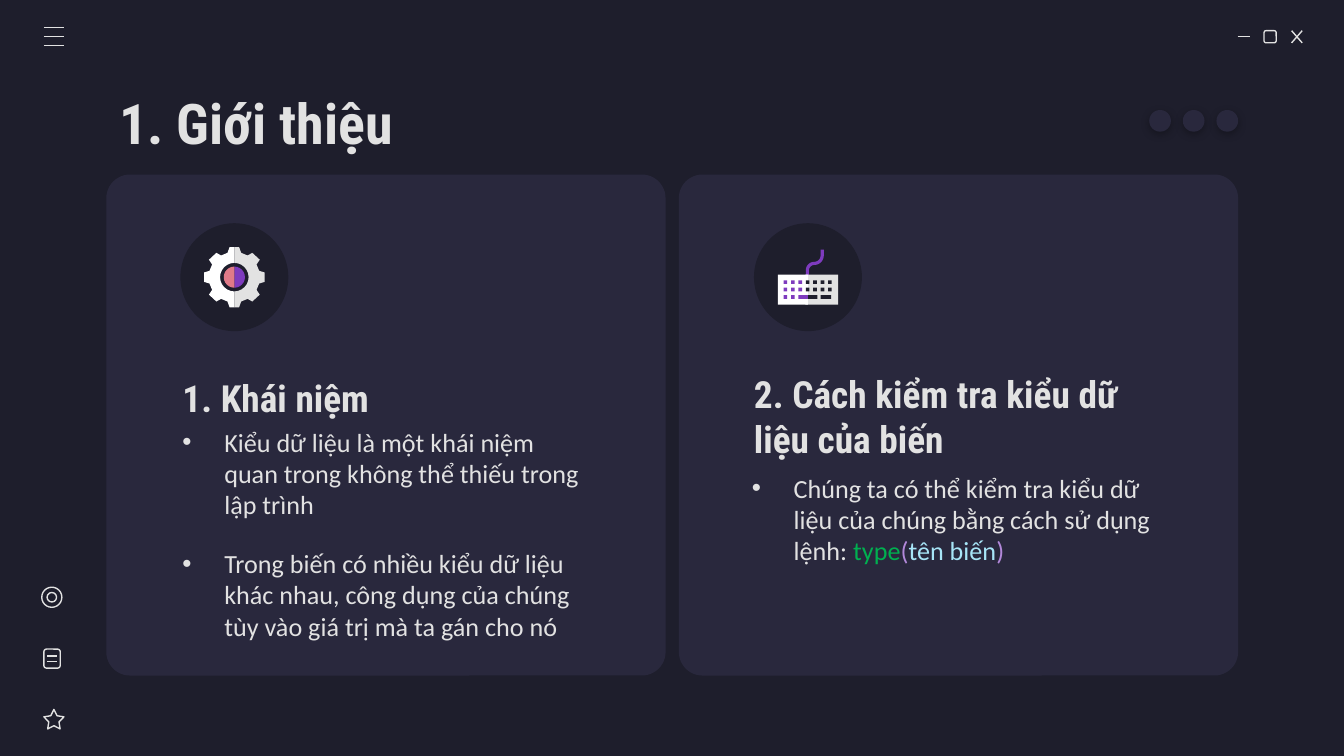
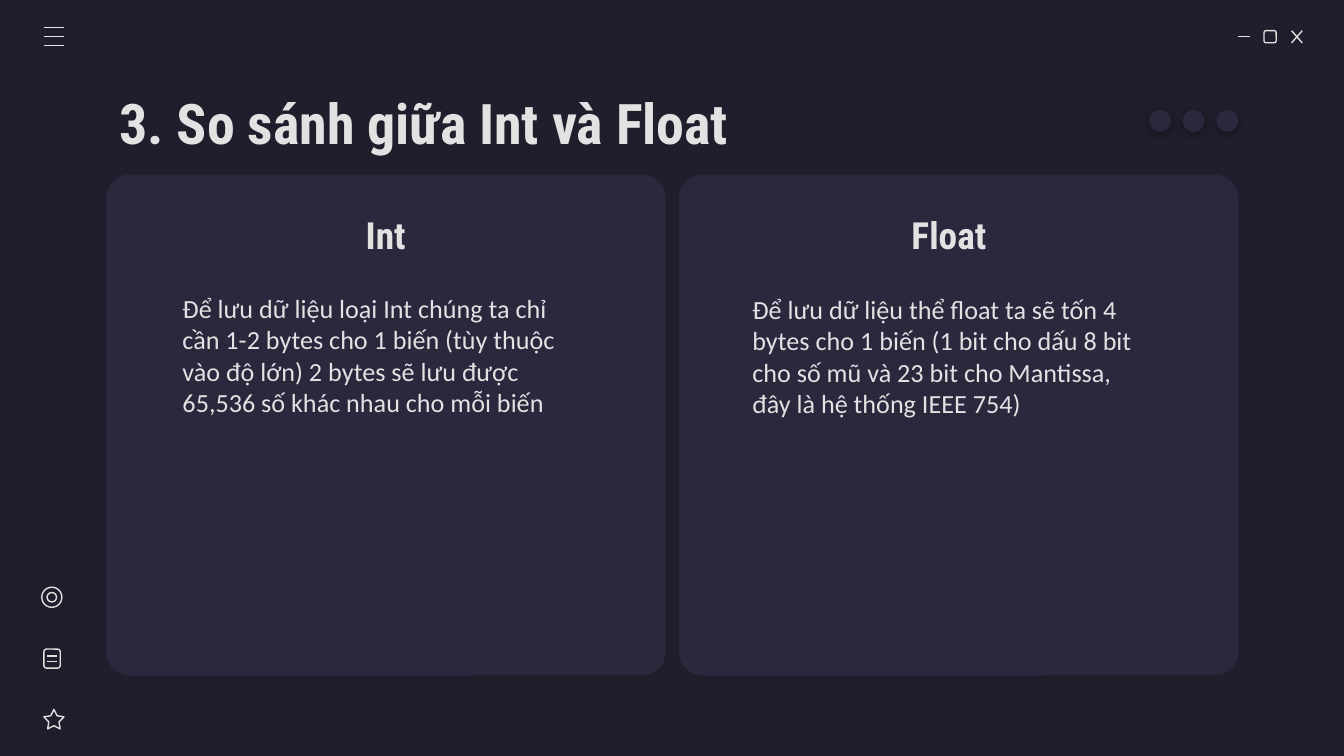
from math import cos, radians, sin

from lxml import etree
from pptx import Presentation
from pptx.dml.color import RGBColor
from pptx.enum.shapes import MSO_CONNECTOR, MSO_SHAPE
from pptx.enum.text import MSO_ANCHOR, PP_ALIGN
from pptx.oxml.ns import qn
from pptx.util import Cm, Pt

STRAIGHT = MSO_CONNECTOR.STRAIGHT
RECT = MSO_SHAPE.RECTANGLE
ROUND = MSO_SHAPE.ROUNDED_RECTANGLE
OVAL = MSO_SHAPE.OVAL
STAR = MSO_SHAPE.STAR_5_POINT
MIDDLE = MSO_ANCHOR.MIDDLE
LEFT = PP_ALIGN.LEFT
CENTER = PP_ALIGN.CENTER

COLORS = {
    "night": "1E1E2C",
    "card": "29283D",
    "light": "E2E2E2",
    "white": "FFFFFF",
    "purple": "7E3BBE",
    "pink": "E07A88",
    "green": "00B050",
    "lilac": "B288DA",
    "sky": "A7E5F7",
    "black": "000000",
}
HEAD_FONT = "Roboto Condensed"
BODY_FONT = "Calibri"
INSET = 0.25
TAIL_INSET = 0.85
CARD_LEFTS = (2.01, 12.83)


def color(name):
    return RGBColor.from_string(COLORS[name])


def arc(center, radius, start, end, steps=12):
    angles = [radians(start + (end - start) * i / steps) for i in range(steps + 1)]
    return [(center[0] + radius * cos(a), center[1] + radius * sin(a)) for a in angles]


class Deck:
    def __init__(self):
        self.deck = Presentation()
        self.deck.slide_width = Cm(25.4)
        self.deck.slide_height = Cm(14.29)
        self.page = None

    def start_page(self, title):
        self.page = self.deck.slides.add_slide(self.deck.slide_layouts[6])
        fill = self.page.background.fill
        fill.solid()
        fill.fore_color.rgb = color("night")
        for left in CARD_LEFTS:
            self.shape(ROUND, left, 3.3, 10.57, 9.47, "card", adjust=0.047)
        self.window_buttons()
        self.side_icons()
        for i in range(3):
            dot = self.shape(OVAL, 21.72 + 0.635 * i, 2.08, 0.41, 0.41, "card")
            self.shadow(dot)
        self.text(title, 2.01, 1.5, 21.4, 1.6, size=30)

    def paint(self, shape, fill):
        shape.shadow.inherit = False
        if fill:
            shape.fill.solid()
            shape.fill.fore_color.rgb = color(fill)
            shape.line.fill.background()
        else:
            shape.fill.background()
            shape.line.color.rgb = color("light")
            shape.line.width = Pt(0.75)

    def shape(self, kind, left, top, width, height, fill=None, adjust=None):
        shape = self.page.shapes.add_shape(kind, Cm(left), Cm(top), Cm(width), Cm(height))
        self.paint(shape, fill)
        if adjust is not None:
            shape.adjustments[0] = adjust
        return shape

    def shadow(self, shape):
        effects = shape._element.spPr.find(qn("a:effectLst"))
        outer = etree.SubElement(effects, qn("a:outerShdw"), blurRad=str(Pt(4.5)),
                                 dist=str(Pt(1.5)), dir="5400000", algn="bl", rotWithShape="0")
        tint = etree.SubElement(outer, qn("a:srgbClr"), val=COLORS["black"])
        etree.SubElement(tint, qn("a:alpha"), val="30000")

    def line(self, x1, y1, x2, y2):
        line = self.page.shapes.add_connector(STRAIGHT, Cm(x1), Cm(y1), Cm(x2), Cm(y2))
        line.line.color.rgb = color("light")
        line.line.width = Pt(0.75)
        etree.SubElement(line._element.spPr, qn("a:effectLst"))

    def outline(self, points, fill):
        corners = [(Cm(x), Cm(y)) for x, y in points]
        builder = self.page.shapes.build_freeform(*corners[0])
        builder.add_line_segments(corners[1:], close=True)
        self.paint(builder.convert_to_shape(), fill)

    def box(self, left, top, width, height, inset_left=INSET, inset_bottom=INSET):
        frame = self.page.shapes.add_textbox(Cm(left), Cm(top), Cm(width), Cm(height)).text_frame
        frame.word_wrap = True
        frame.vertical_anchor = MIDDLE
        frame.margin_left = Cm(inset_left)
        frame.margin_bottom = Cm(inset_bottom)
        frame.margin_top = frame.margin_right = Cm(INSET)
        return frame

    def style(self, span, font, size, tint="light", bold=False):
        span.font.name = font
        span.font.size = Pt(size)
        span.font.bold = bold
        span.font.color.rgb = color(tint)

    def text(self, words, left, top, width, height, size=20, font=HEAD_FONT, align=LEFT,
             inset_left=INSET):
        frame = self.box(left, top, width, height, inset_left)
        frame.text = words
        para = frame.paragraphs[0]
        para.alignment = align
        self.style(para.runs[0], font, size, bold=font == HEAD_FONT)

    def bullets(self, items, left, top, width, height):
        frame = self.box(left, top, width, height, inset_bottom=TAIL_INSET)
        for i, spans in enumerate(items):
            para = frame.add_paragraph() if i else frame.paragraphs[0]
            properties = para._p.get_or_add_pPr()
            properties.set("marL", str(Cm(0.79)))
            properties.set("indent", str(Cm(-0.79)))
            bullet_color = etree.SubElement(properties, qn("a:buClr"))
            etree.SubElement(bullet_color, qn("a:srgbClr"), val=COLORS["light"])
            etree.SubElement(properties, qn("a:buFont"), typeface="Arial")
            etree.SubElement(properties, qn("a:buChar"), char="•")
            if i:
                para.space_before = Pt(14.5)
            for words, tint in spans:
                span = para.add_run()
                span.text = words
                self.style(span, BODY_FONT, 14, tint)

    def window_buttons(self):
        self.line(23.39, 0.69, 23.62, 0.69)
        self.shape(ROUND, 23.89, 0.58, 0.23, 0.23, adjust=0.167)
        self.line(24.41, 0.58, 24.61, 0.81)
        self.line(24.61, 0.58, 24.41, 0.81)

    def side_icons(self):
        for i in range(3):
            y = 0.52 + 0.17 * i
            self.line(0.83, y, 1.21, y)
        self.shape(STAR, 0.83, 13.41, 0.38, 0.37, adjust=0.254)
        self.shape(ROUND, 0.83, 12.27, 0.31, 0.36, adjust=0.167)
        for y in (12.4, 12.5):
            self.line(0.89, y, 1.07, y)
        self.shape(OVAL, 0.79, 11.1, 0.38, 0.38)
        self.shape(OVAL, 0.89, 11.2, 0.18, 0.18)

    def disc(self, left):
        self.shape(OVAL, left, 4.22, 2.04, 2.04, "night")

    def gear(self, x, y):
        upper = [(0, -0.57), (0.09, -0.57), (0.13, -0.46), (0.25, -0.41), (0.34, -0.46),
                 (0.48, -0.33), (0.42, -0.24), (0.47, -0.12), (0.57, -0.09)]
        lower = [(dx, -dy) for dx, dy in reversed(upper)]
        teeth = upper + lower + arc((0, 0), 0.27, 90, -90)
        core = arc((0, 0), 0.2, -90, 90)
        for side, ring, center in ((1, "light", "purple"), (-1, "white", "pink")):
            for points, fill in ((core, center), (teeth, ring)):
                self.outline([(x + side * dx, y + dy) for dx, dy in points], fill)

    def keyboard(self):
        top, bottom = (15.39, 4.83), (15.39, 5.11)
        cable = [(15.51, 4.72)] + arc(top, 0.12, 0, 90) + arc(bottom, 0.16, 270, 180)
        cable += [(15.23, 5.26), (15.29, 5.26)]
        cable += arc(bottom, 0.1, 180, 270) + arc(top, 0.18, 90, 0) + [(15.57, 4.72)]
        self.outline(cable, "purple")
        self.shape(RECT, 15.22, 5.19, 0.62, 0.57, "light")
        self.shape(RECT, 14.7, 5.19, 0.57, 0.57, "white")
        for row, columns in enumerate((7, 7, 2)):
            for column in range(columns):
                fill = "purple" if column < 3 else "night"
                self.shape(RECT, 14.81 + 0.14 * column, 5.3 + 0.14 * row, 0.07, 0.07, fill)
        for left, fill in ((15.51, "night"), (15.25, "night"), (15.09, "purple")):
            self.shape(RECT, left, 5.58, 0.2 if fill == "night" else 0.18, 0.07, fill)


def introduction(slides):
    slides.start_page("1. Giới thiệu")
    slides.disc(3.41)
    slides.gear(4.43, 5.24)
    slides.disc(14.25)
    slides.keyboard()
    slides.text("1. Khái niệm", 3.2, 6.86, 8.18, 1.3)
    slides.bullets([
        [("Kiểu dữ liệu là một khái niệm quan trong không thể thiếu trong lập trình", "light")],
        [("Trong biến có nhiều kiểu dữ liệu khác nhau, công dụng của chúng "
          "tùy vào giá trị mà ta gán cho nó", "light")],
    ], 3.2, 8.13, 8.18, 4.52)
    slides.text("2. Cách kiểm tra kiểu dữ liệu của biến", 14.25, 7.49, 8.18, 0.76, inset_left=0)
    slides.bullets([[
        ("Chúng ta có thể kiểm tra kiểu dữ liệu của chúng bằng cách sử dụng lệnh: ", "light"),
        ("type", "green"),
        ("(", "lilac"),
        ("tên biến", "sky"),
        (")", "lilac"),
    ]], 13.96, 8.33, 8.18, 3.56)


def comparison(slides):
    slides.start_page("3. So sánh giữa Int và Float")
    slides.text("Int", 3.2, 3.78, 8.18, 1.3, align=CENTER)
    slides.text("Để lưu dữ liệu loại Int chúng ta chỉ cần 1-2 bytes cho 1 biến (tùy thuộc vào độ lớn) "
                "2 bytes sẽ lưu được 65,536 số khác nhau cho mỗi biến",
                3.2, 5.18, 8.18, 3.07, size=14, font=BODY_FONT)
    slides.text("Float", 13.97, 3.5, 8.18, 1.88, align=CENTER, inset_left=0)
    slides.text("Để lưu dữ liệu thể float ta sẽ tốn 4 bytes cho 1 biến (1 bit cho dấu 8 bit cho số mũ "
                "và 23 bit cho Mantissa, đây là hệ thống IEEE 754)",
                13.97, 5.46, 8.05, 2.54, size=14, font=BODY_FONT)


def main():
    slides = Deck()
    introduction(slides)
    comparison(slides)
    slides.deck.save("out.pptx")


if __name__ == "__main__":
    main()
